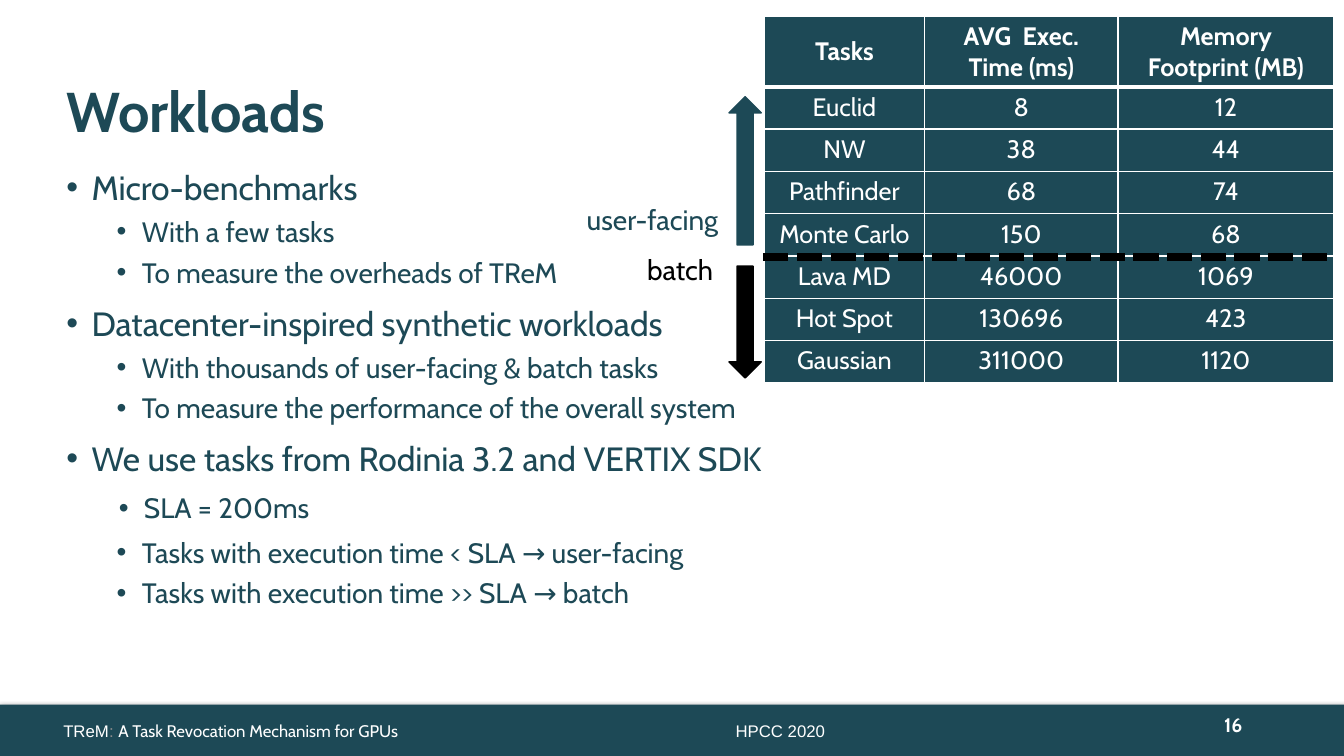
from dataclasses import dataclass
from lxml import etree
from pptx import Presentation
from pptx import util as u
from pptx.dml.color import RGBColor
from pptx.enum import dml, shapes, text
from pptx.oxml import parse_xml
from pptx.oxml.ns import nsdecls, qn


@dataclass(frozen=True)
class Theme:
    teal: RGBColor = RGBColor.from_string("1D4956")
    white: RGBColor = RGBColor.from_string("FFFFFF")
    black: RGBColor = RGBColor.from_string("000000")
    gray: RGBColor = RGBColor.from_string("8C8C8C")
    font: str = "Cabin"
    footer_font: str = "Arial"
    title: int = 40
    topic: int = 24
    detail: int = 20
    cell: int = 18
    number: int = 14
    footer: int = 12


theme = Theme()
PX = 9144
MIDDLE = text.MSO_ANCHOR.MIDDLE
CENTER = text.PP_ALIGN.CENTER


def write(para, words, size=theme.detail, color=theme.teal, font=theme.font,
          bold=False, align=None, indent=None, before=None):
    span = para.add_run()
    span.text = words
    span.font.size = u.Pt(size)
    span.font.name = font
    span.font.bold = bold
    span.font.color.rgb = color
    if align is not None:
        para.alignment = align
    if before is not None:
        para.space_before = u.Pt(before)
    if indent is not None:
        props = para._p.get_or_add_pPr()
        props.set("marL", str(indent * PX))
        props.set("indent", str(-25 * PX))
        etree.SubElement(props, qn("a:buFont")).set("typeface", "Arial")
        etree.SubElement(props, qn("a:buChar")).set("char", "•")


def add_box(left, top, width, height, wrap=True, anchor=text.MSO_ANCHOR.TOP):
    box = page.shapes.add_textbox(left * PX, top * PX, width * PX, height * PX)
    box.text_frame.word_wrap = wrap
    box.text_frame.vertical_anchor = anchor
    return box.text_frame


deck = Presentation()
deck.slide_width, deck.slide_height = 1333 * PX, 750 * PX
page = deck.slides.add_slide(deck.slide_layouts[5])

band = page.shapes.add_shape(shapes.MSO_SHAPE.RECTANGLE, 0, 699 * PX, 1333 * PX, 51 * PX)
band.fill.solid()
band.fill.fore_color.rgb = theme.teal
band.line.fill.background()
band._element.spPr.append(parse_xml(
    f'<a:effectLst {nsdecls("a")}><a:outerShdw blurRad="57150" dist="19050" dir="5400000"'
    ' algn="ctr" rotWithShape="0"><a:srgbClr val="000000"><a:alpha val="63000"/>'
    '</a:srgbClr></a:outerShdw></a:effectLst>'))

title = page.shapes.title
title.left, title.top, title.width, title.height = 56 * PX, 40 * PX, 486 * PX, 147 * PX
title.text_frame.word_wrap = True
title.text_frame.auto_size = text.MSO_AUTO_SIZE.NONE
title.text_frame.vertical_anchor = MIDDLE
title_para = title.text_frame.paragraphs[0]
title_para.line_spacing = 0.9
write(title_para, "Workloads", size=theme.title, bold=True, align=text.PP_ALIGN.LEFT)

footers = [
    ((942, 699, 300, 40), text.PP_ALIGN.RIGHT,
     [("16", dict(size=theme.number, bold=True))]),
    ((4, 705, 450, 40), CENTER,
     [("TReM", dict(font=theme.footer_font)),
      (": ", dict(font=theme.footer_font, color=theme.gray)),
      ("A Task Revocation Mechanism for GPUs", {})]),
    ((549, 705, 450, 40), CENTER, [("HPCC 2020", dict(font=theme.footer_font))]),
]
for place, align, spans in footers:
    para = add_box(*place, anchor=MIDDLE).paragraphs[0]
    for words, look in spans:
        write(para, words, **{"size": theme.footer, "color": theme.white, "align": align, **look})

topic = dict(size=theme.topic, indent=25, before=10)
detail = dict(indent=75, before=5)
bullets = [
    ((56, 161, 1030, 356), [
        ("Micro-benchmarks", topic),
        ("With a few tasks", detail),
        ("To measure the overheads of TReM", detail),
        ("Datacenter-inspired synthetic workloads", topic),
        ("With thousands of user-facing & batch tasks", detail),
        ("To measure the performance of the overall system", detail),
        ("We use tasks from Rodinia 3.2 and VERTIX SDK", topic)]),
    ((108, 482, 434, 55), [("SLA = 200ms", dict(indent=25, before=10))]),
    ((56, 526, 693, 131), [
        ("Tasks with execution time < SLA → user-facing", detail),
        ("Tasks with execution time >> SLA → batch", detail)]),
]
for place, items in bullets:
    frame = add_box(*place)
    for index, (words, look) in enumerate(items):
        para = frame.add_paragraph() if index else frame.paragraphs[0]
        write(para, words, **look)

tasks = [
    ("Tasks", "AVG  Exec. Time (ms)", "Memory Footprint (MB)"),
    ("Euclid", "8", "12"),
    ("NW", "38", "44"),
    ("Pathfinder", "68", "74"),
    ("Monte Carlo", "150", "68"),
    ("Lava MD", "46000", "1069"),
    ("Hot Spot", "130696", "423"),
    ("Gaussian", "311000", "1120"),
]
table = page.shapes.add_table(len(tasks), 3, 758 * PX, 16 * PX, 565 * PX, 364 * PX).table
table.horz_banding = False
for column, width in zip(table.columns, (159, 192, 214)):
    column.width = width * PX
for r, task in enumerate(tasks):
    table.rows[r].height = (42 if r else 70) * PX
    for c, words in enumerate(task):
        cell = table.cell(r, c)
        cell.vertical_anchor = text.MSO_ANCHOR.TOP if r else MIDDLE
        write(cell.text_frame.paragraphs[0], words, size=theme.cell, color=theme.white,
              bold=r == 0, align=CENTER)
        for side in "LRTB":
            thick = (side == "B" and r == 0) or (side == "T" and r == 1)
            cell._tc.get_or_add_tcPr().append(parse_xml(
                f'<a:ln{side} {nsdecls("a")} w="{u.Pt(3 if thick else 1)}"><a:solidFill>'
                f'<a:srgbClr val="{theme.white}"/></a:solidFill></a:ln{side}>'))
        cell.fill.solid()
        cell.fill.fore_color.rgb = theme.teal

divider = page.shapes.add_connector(
    shapes.MSO_CONNECTOR.STRAIGHT, 757 * PX, 255 * PX, 1323 * PX, 255 * PX)
divider.line.color.rgb = theme.black
divider.line.width = u.Pt(6)
divider.line.dash_style = dml.MSO_LINE.SQUARE_DOT
etree.SubElement(divider._element.spPr, qn("a:effectLst"))

groups = [
    (shapes.MSO_SHAPE.UP_ARROW, 96, 147, theme.teal, "user-facing", (572, 196, 161, 44)),
    (shapes.MSO_SHAPE.DOWN_ARROW, 264, 111, theme.black, "batch", (632, 246, 90, 44)),
]
for kind, top, height, color, label, place in groups:
    arrow = page.shapes.add_shape(kind, 723 * PX, top * PX, 32 * PX, height * PX)
    arrow.shadow.inherit = False
    arrow.fill.solid()
    arrow.fill.fore_color.rgb = color
    arrow.line.color.rgb = color
    arrow.line.width = u.Pt(1)
    write(add_box(*place, wrap=False).paragraphs[0], label, color=color)

deck.save("out.pptx")
